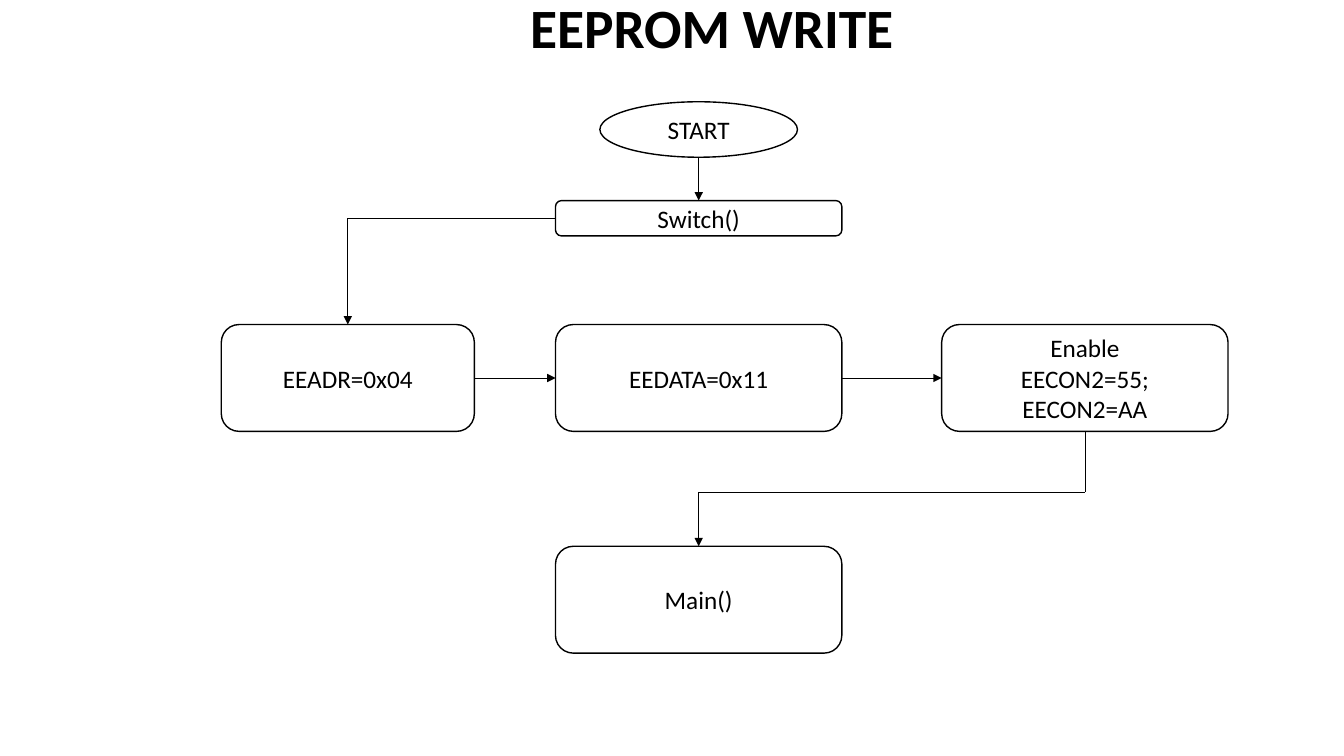
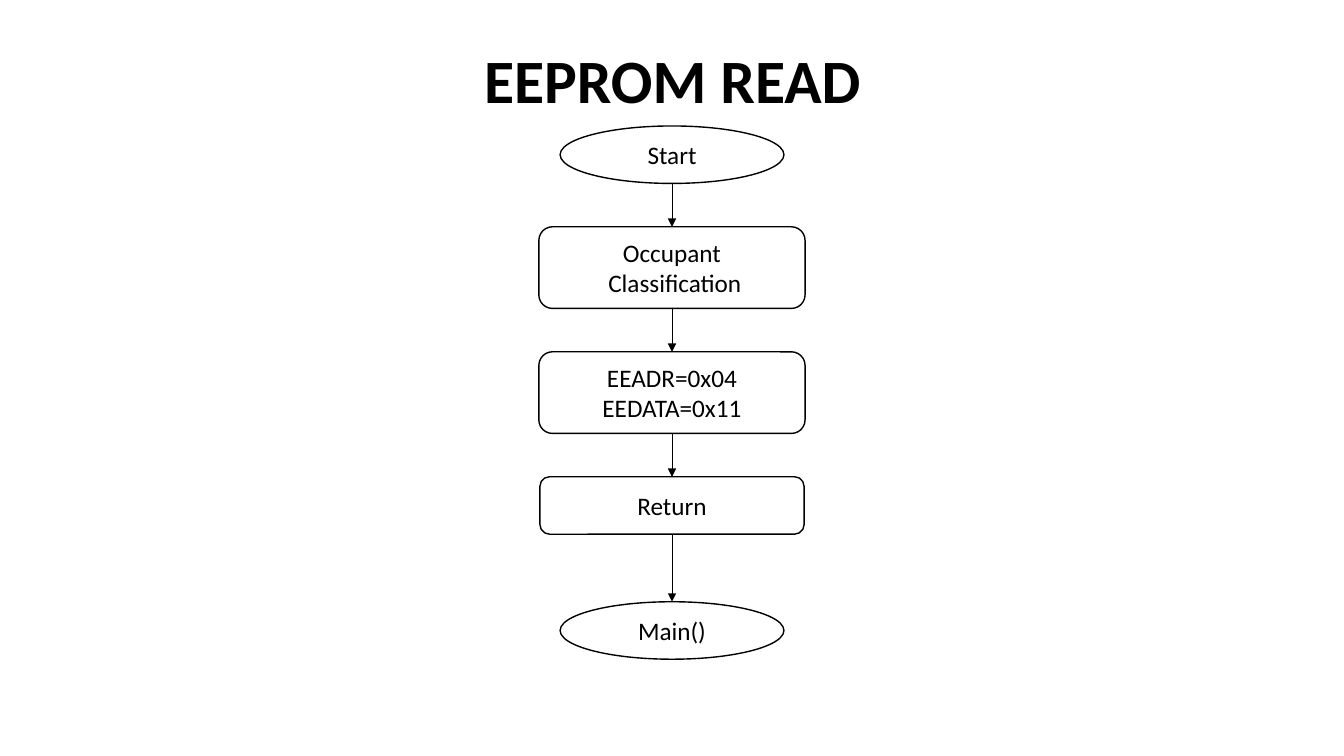
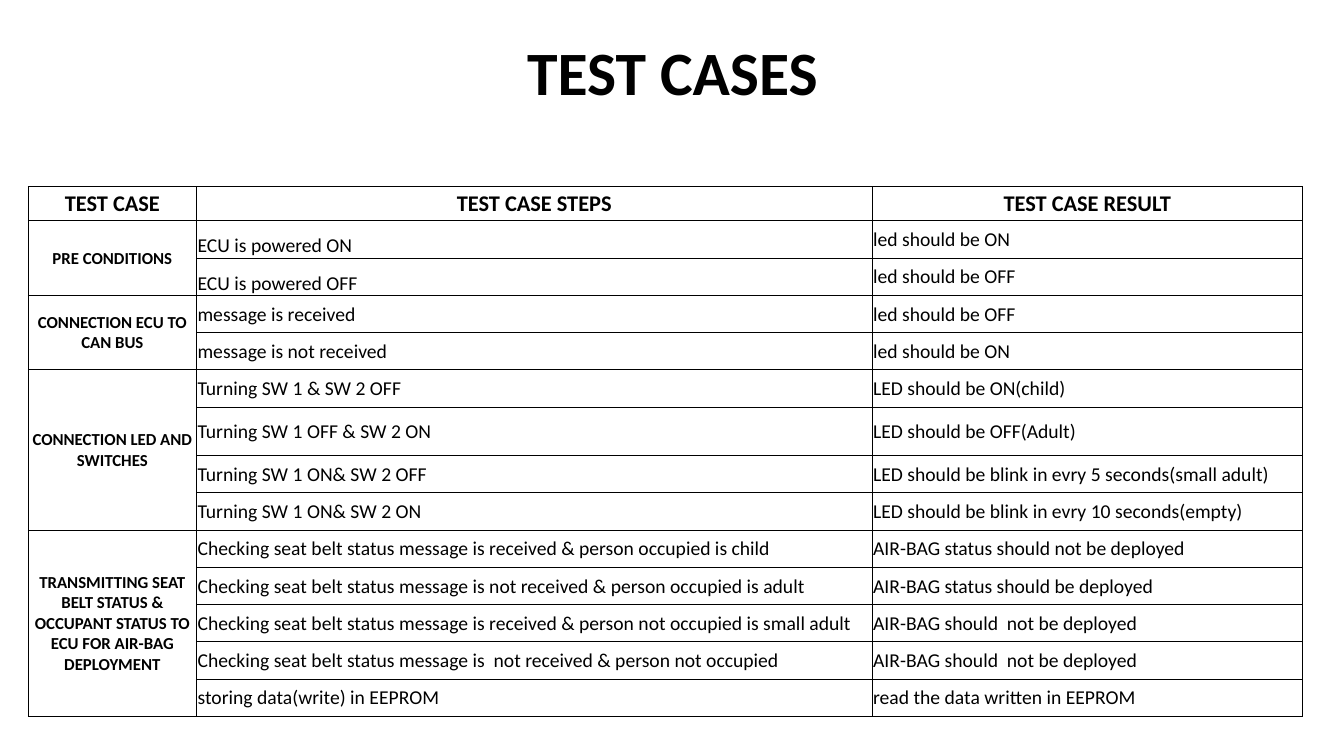
import pptx
import pptx.chart
import pptx.dml.color
import pptx.enum.shapes
import pptx.enum.text
import pptx.oxml
import pptx.oxml.ns
import pptx.util

# Shared style
FONT, BLACK, WHITE = "Calibri", "000000", "FFFFFF"
SLIDE_WIDTH, SLIDE_HEIGHT = 13.33, 7.5
TITLE_WIDTH = 11.5
BODY_SIZE = 18
BOX_LINE, THIN_LINE = 1, 0.5
OVAL = pptx.enum.shapes.MSO_SHAPE.OVAL
ROUNDED = pptx.enum.shapes.MSO_SHAPE.ROUNDED_RECTANGLE
CENTER, LEFT = pptx.enum.text.PP_ALIGN.CENTER, pptx.enum.text.PP_ALIGN.LEFT
MIDDLE, BOTTOM = pptx.enum.text.MSO_ANCHOR.MIDDLE, pptx.enum.text.MSO_ANCHOR.BOTTOM

# Titles: text, left, top, height, size
WRITE_TITLE = ("EEPROM WRITE", 1.31, -0.07, 0.75, 39.6)
READ_TITLE = ("EEPROM READ", 0.92, 0.4, 0.85, 44)
TEST_TITLE = ("TEST CASES", 0.92, 0.4, 0.69, 44)

# Write flow: column centres, then name: (kind, column, top, width, height, text)
COLUMNS = (3.45, 6.93, 10.76)
STEP_TOP, STEP_WIDTH, STEP_HEIGHT = 3.22, 2.84, 1.06
RETURN_LEVEL = 4.88
WRITE_BOXES = {
    "start": (OVAL, 1, 1.01, 1.96, 0.55, "START"),
    "switch": (ROUNDED, 1, 1.99, STEP_WIDTH, 0.35, "Switch()"),
    "address": (ROUNDED, 0, STEP_TOP, 2.51, STEP_HEIGHT, "EEADR=0x04"),
    "data": (ROUNDED, 1, STEP_TOP, STEP_WIDTH, STEP_HEIGHT, "EEDATA=0x11"),
    "enable": (ROUNDED, 2, STEP_TOP, STEP_WIDTH, STEP_HEIGHT,
               "Enable\nEECON2=55;\nEECON2=AA"),
    "main": (ROUNDED, 1, 5.42, STEP_WIDTH, STEP_HEIGHT, "Main()"),
}

# Read flow, top to bottom: kind, width, height, gap below, text
READ_TOP = 1.25
READ_BOXES = [
    (OVAL, 2.22, 0.57, 0.43, "Start"),
    (ROUNDED, 2.64, 0.81, 0.43, "Occupant\n Classification"),
    (ROUNDED, 2.64, 0.81, 0.43, "EEADR=0x04\nEEDATA=0x11"),
    (ROUNDED, 2.62, 0.57, 0.67, "Return"),
    (OVAL, 2.22, 0.57, 0, "Main()"),
]

# Test table
HEADERS = ("TEST CASE", "TEST CASE STEPS", "TEST CASE RESULT")
TABLE_LEFT, TABLE_TOP = 0.28, 1.85
TABLE_COLUMNS = (1.67, 6.7, 4.27)
HEADER_HEIGHT, ROW_HEIGHT = 0.34, 0.37
TALL_ROWS = {6: 0.48}
GROUPS = [
    ("PRE CONDITIONS", BOTTOM, [
        ("ECU is powered ON", "led should be ON"),
        ("ECU is powered OFF", "led should be OFF"),
    ]),
    ("CONNECTION ECU TO CAN BUS", MIDDLE, [
        ("message is received", "led should be OFF"),
        ("message is not received", "led should be ON"),
    ]),
    ("CONNECTION LED AND SWITCHES", MIDDLE, [
        ("Turning SW 1 & SW 2 OFF", "LED should be ON(child)"),
        ("Turning SW 1 OFF & SW 2 ON", "LED should be OFF(Adult)"),
        ("Turning SW 1 ON& SW 2 OFF",
         "LED should be blink in evry 5 seconds(small adult)"),
        ("Turning SW 1 ON& SW 2 ON",
         "LED should be blink in evry 10 seconds(empty)"),
    ]),
    ("TRANSMITTING SEAT BELT STATUS & OCCUPANT STATUS TO ECU FOR AIR-BAG DEPLOYMENT",
     MIDDLE, [
        ("Checking seat belt status message is received & person occupied is child",
         "AIR-BAG status should not be deployed"),
        ("Checking seat belt status message is not received & person occupied is adult",
         "AIR-BAG status should be deployed"),
        ("Checking seat belt status message is received & person not occupied is small adult",
         "AIR-BAG should  not be deployed"),
        ("Checking seat belt status message is  not received & person not occupied",
         "AIR-BAG should  not be deployed"),
        ("storing data(write) in EEPROM", "read the data written in EEPROM"),
     ]),
]


def inches(*lengths):
    return [pptx.util.Inches(length) for length in lengths]


def color(hex_string):
    return pptx.dml.color.RGBColor.from_string(hex_string)


def write_text(text_frame, text, size, bold=False, alignment=CENTER, spacing=None):
    text_frame.text = text
    for paragraph in text_frame.paragraphs:
        paragraph.alignment = alignment
        if spacing:
            paragraph.line_spacing = spacing
        for run in paragraph.runs:
            run.font.name = FONT
            run.font.size = pptx.util.Pt(size)
            run.font.bold = bold
            run.font.color.rgb = color(BLACK)


def add_titled_slide(presentation, text, left, top, height, size):
    slide = presentation.slides.add_slide(presentation.slide_layouts[5])
    title = slide.shapes.title
    title.left, title.top, title.width, title.height = inches(
        left, top, TITLE_WIDTH, height)
    text_frame = title.text_frame
    write_text(text_frame, text, size, bold=True, spacing=0.9)
    text_frame.vertical_anchor = MIDDLE
    text_frame.auto_size = pptx.enum.text.MSO_AUTO_SIZE.NONE
    return slide


def add_box(slide, kind, center, top, width, height, text):
    """Draw a flow step and return the midpoints of its four sides."""
    left = center - width / 2
    shape = slide.shapes.add_shape(kind, *inches(left, top, width, height))
    shape.shadow.inherit = False
    shape.fill.solid()
    shape.fill.fore_color.rgb = color(WHITE)
    shape.line.color.rgb = color(BLACK)
    shape.line.width = pptx.util.Pt(BOX_LINE)
    write_text(shape.text_frame, text, BODY_SIZE)
    shape.text_frame.vertical_anchor = MIDDLE
    middle = top + height / 2
    return {"top": (center, top), "bottom": (center, top + height),
            "left": (left, middle), "right": (left + width, middle)}


def add_route(slide, *points):
    """Join the points with straight lines and put an arrowhead on the last."""
    for start, end in zip(points, points[1:]):
        connector = slide.shapes.add_connector(
            pptx.enum.shapes.MSO_CONNECTOR.STRAIGHT, *inches(*start, *end))
        connector.line.color.rgb = color(BLACK)
        connector.line.width = pptx.util.Pt(THIN_LINE)
        properties = connector._element.spPr
        pptx.oxml.ns.qn("a:effectLst")
        properties.append(pptx.oxml.parse_xml(
            f'<a:effectLst {pptx.oxml.ns.nsdecls("a")}/>'))
    connector.line._get_or_add_ln().append(pptx.oxml.parse_xml(
        f'<a:tailEnd {pptx.oxml.ns.nsdecls("a")} type="triangle"/>'))


def fill_cell(cell, text, size, bold=False, alignment=CENTER, anchor=MIDDLE):
    write_text(cell.text_frame, text, size, bold, alignment)
    cell.vertical_anchor = anchor


def format_cell(cell):
    cell.margin_left, cell.margin_top, cell.margin_right, cell.margin_bottom = inches(
        0.01, 0.01, 0.01, 0)
    properties = cell._tc.get_or_add_tcPr()
    for side in ("lnL", "lnR", "lnT", "lnB"):
        properties.append(pptx.oxml.parse_xml(
            f'<a:{side} {pptx.oxml.ns.nsdecls("a")} w="{pptx.util.Pt(THIN_LINE)}">'
            f'<a:solidFill><a:srgbClr val="{BLACK}"/></a:solidFill></a:{side}>'))
    cell.fill.solid()
    cell.fill.fore_color.rgb = color(WHITE)


presentation = pptx.Presentation()
presentation.slide_width, presentation.slide_height = inches(SLIDE_WIDTH, SLIDE_HEIGHT)

# Slide 1: write flow
slide = add_titled_slide(presentation, *WRITE_TITLE)
sides = {name: add_box(slide, kind, COLUMNS[column], *rest)
         for name, (kind, column, *rest) in WRITE_BOXES.items()}
add_route(slide, sides["start"]["bottom"], sides["switch"]["top"])
add_route(slide, sides["switch"]["left"],
          (COLUMNS[0], sides["switch"]["left"][1]), sides["address"]["top"])
add_route(slide, sides["address"]["right"], sides["data"]["left"])
add_route(slide, sides["data"]["right"], sides["enable"]["left"])
add_route(slide, sides["enable"]["bottom"], (COLUMNS[2], RETURN_LEVEL),
          (COLUMNS[1], RETURN_LEVEL), sides["main"]["top"])

# Slide 2: read flow
slide = add_titled_slide(presentation, *READ_TITLE)
top, steps = READ_TOP, []
for kind, width, height, gap, text in READ_BOXES:
    steps.append(add_box(slide, kind, SLIDE_WIDTH / 2, top, width, height, text))
    top += height + gap
for upper, lower in zip(steps, steps[1:]):
    add_route(slide, upper["bottom"], lower["top"])

# Slide 3: test table
slide = add_titled_slide(presentation, *TEST_TITLE)
row_count = 1 + sum(len(cases) for _, _, cases in GROUPS)
heights = [HEADER_HEIGHT] + [TALL_ROWS.get(row, ROW_HEIGHT)
                             for row in range(1, row_count)]
table = slide.shapes.add_table(
    row_count, len(HEADERS),
    *inches(TABLE_LEFT, TABLE_TOP, sum(TABLE_COLUMNS), sum(heights))).table
table.first_row = table.horz_banding = False
for column, width in zip(table.columns, TABLE_COLUMNS):
    column.width = pptx.util.Inches(width)
for row, height in zip(table.rows, heights):
    row.height = pptx.util.Inches(height)
for cell in table.iter_cells():
    format_cell(cell)
for column, header in enumerate(HEADERS):
    fill_cell(table.cell(0, column), header, 16, bold=True)
row = 1
for name, anchor, cases in GROUPS:
    group_cell = table.cell(row, 0)
    group_cell.merge(table.cell(row + len(cases) - 1, 0))
    fill_cell(group_cell, name, 12, bold=True)
    for step, result in cases:
        fill_cell(table.cell(row, 1), step, 14, alignment=LEFT, anchor=anchor)
        fill_cell(table.cell(row, 2), result, 14, alignment=LEFT)
        row += 1

presentation.save("out.pptx")
